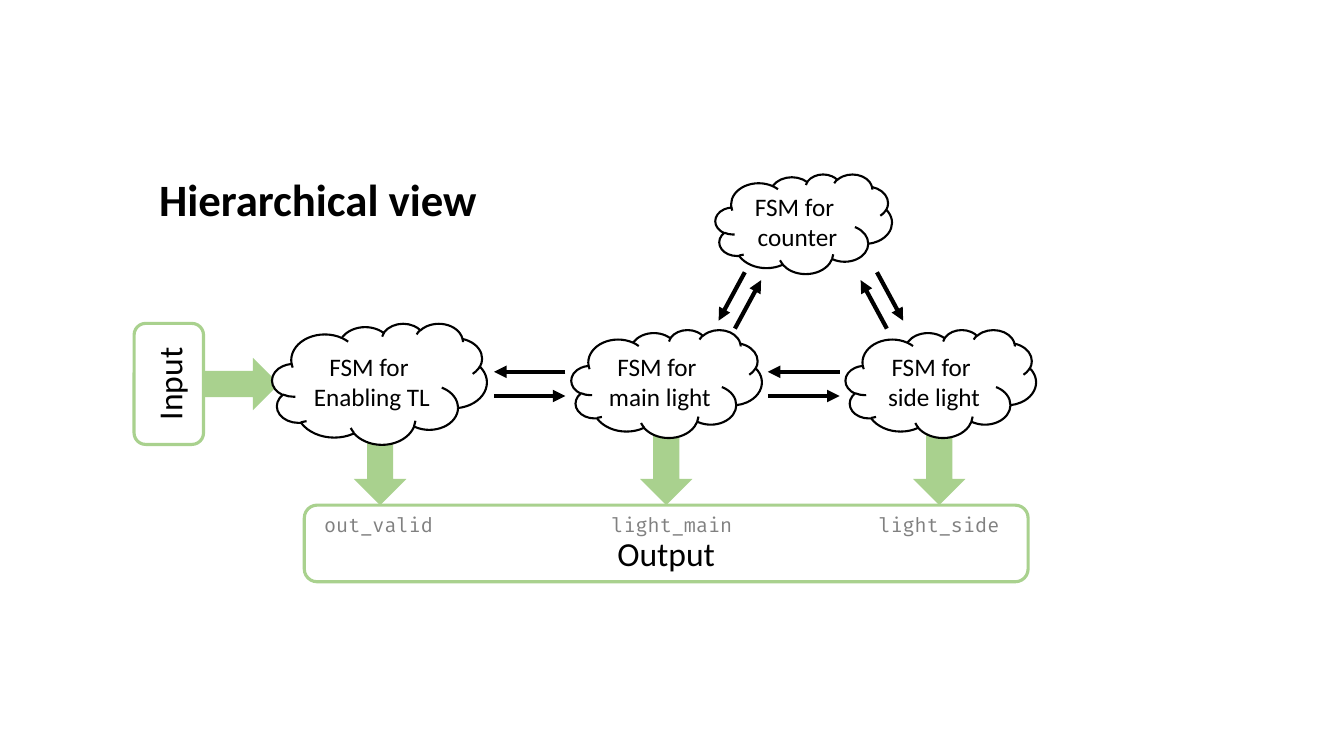
import pptx
import pptx.dml.color
import pptx.enum.shapes
import pptx.enum.text
import pptx.oxml.ns
import pptx.util
from lxml import etree

Cm = pptx.util.Cm
SHAPE = pptx.enum.shapes.MSO_SHAPE
ALIGN = pptx.enum.text.PP_ALIGN
ANCHOR = pptx.enum.text.MSO_ANCHOR

THEME = {
    "black": "000000", "white": "FFFFFF", "green": "A9D18E", "grey": "808080",
    "font": "Calibri", "code_font": "Fira Code",
    "title_size": 32, "box_size": 24, "state_size": 18, "signal_size": 14,
    "cloud_line": 1.5, "box_line": 2.25, "exchange_line": 3,
}

# All places are in centimetres: left, top, width, height.
SLIDE_SIZE = (33.87, 19.05)
TITLE = ("Hierarchical view", (3.76, 4.19, 9.04, 1.63))
STATE_MACHINES = [
    ("counter", (18.03, 4.39, 4.45, 2.51)),
    ("main light", (14.4, 8.31, 4.8, 2.72)),
    ("side light", (21.31, 8.31, 4.8, 2.72)),
    ("Enabling TL", (6.86, 8.15, 5.41, 3.05)),
]
INPUT_BOX = ("Input", (3.38, 8.15, 1.75, 3.05))
OUTPUT_BOX = ("Output", (7.67, 12.73, 18.24, 1.93))

FLOW_SIZE = (1.32, 1.93)
INPUT_FLOW = (5.41, 8.71)
OUTPUT_FLOW_TOP = 10.8
SIGNAL_TOP, SIGNAL_HEIGHT = 12.8, 0.86
# name, left of its flow arrow, left of its label, label width
SIGNALS = [
    ("out_valid", 8.92, 7.92, 3.28),
    ("light_main", 16.13, 15.16, 3.58),
    ("light_side", 23.01, 21.89, 3.58),
]
# start, end, and shift of the arrow that runs back
EXCHANGES = [
    ((14.25, 9.37), (12.45, 9.37), (0, 0.61)),
    ((21.16, 9.37), (19.35, 9.37), (0, 0.61)),
    ((18.77, 6.86), (18.11, 8.08), (0.41, 0.2)),
    ((22.1, 6.86), (22.76, 8.08), (-0.41, 0.2)),
]


def color(name):
    return pptx.dml.color.RGBColor.from_string(THEME[name])


def lengths(values):
    return [Cm(value) for value in values]


def write(frame, lines, size, align=ALIGN.LEFT, font="font", ink="black", bold=False):
    frame.text = "\n".join(lines)
    for para in frame.paragraphs:
        para.alignment = align
        para.font.name = THEME[font]
        para.font.size = pptx.util.Pt(THEME[size])
        para.font.bold = bold
        para.font.color.rgb = color(ink)


def add_filled(page, kind, place, fill, line=None, width=None):
    shape = page.shapes.add_shape(kind, *lengths(place))
    shape.shadow.inherit = False
    shape.fill.solid()
    shape.fill.fore_color.rgb = color(fill)
    if line:
        shape.line.color.rgb = color(line)
        shape.line.width = pptx.util.Pt(THEME[width])
    else:
        shape.line.fill.background()
    return shape


def add_state_machine(page, name, place):
    cloud = add_filled(page, SHAPE.CLOUD, place, "white", "black", "cloud_line")
    cloud.text_frame.vertical_anchor = ANCHOR.MIDDLE
    write(cloud.text_frame, ["FSM for ", name], "state_size", ALIGN.CENTER)


def add_port_box(page, name, place, anchor):
    box = add_filled(page, SHAPE.ROUNDED_RECTANGLE, place, "white", "green", "box_line")
    box.text_frame.vertical_anchor = anchor
    write(box.text_frame, [name], "box_size", ALIGN.CENTER)
    return box


def add_label(page, text, place, wrap, **style):
    box = page.shapes.add_textbox(*lengths(place))
    box.text_frame.word_wrap = wrap
    write(box.text_frame, [text], **style)


def add_arrow(page, start, end):
    arrow = page.shapes.add_connector(
        pptx.enum.shapes.MSO_CONNECTOR.STRAIGHT, *lengths(start + end))
    arrow.line.color.rgb = color("black")
    arrow.line.width = pptx.util.Pt(THEME["exchange_line"])
    qn = pptx.oxml.ns.qn
    etree.SubElement(arrow.line._get_or_add_ln(), qn("a:tailEnd"), type="triangle")
    etree.SubElement(arrow._element.spPr, qn("a:effectLst"))


def add_exchange(page, start, end, shift):
    """Draw one arrow and a shifted one that runs back."""
    def moved(point):
        return (point[0] + shift[0], point[1] + shift[1])
    add_arrow(page, start, end)
    add_arrow(page, moved(end), moved(start))


def main():
    deck = pptx.Presentation()
    deck.slide_width, deck.slide_height = lengths(SLIDE_SIZE)
    page = deck.slides.add_slide(deck.slide_layouts[6])

    input_flow = add_filled(page, SHAPE.DOWN_ARROW, INPUT_FLOW + FLOW_SIZE, "green")
    input_flow.rotation = 270
    for _, flow_left, _, _ in SIGNALS:
        add_filled(page, SHAPE.DOWN_ARROW,
                   (flow_left, OUTPUT_FLOW_TOP) + FLOW_SIZE, "green")

    for name, place in STATE_MACHINES:
        add_state_machine(page, name, place)
    for start, end, shift in EXCHANGES:
        add_exchange(page, start, end, shift)

    add_port_box(page, *OUTPUT_BOX, ANCHOR.BOTTOM)
    input_box = add_port_box(page, *INPUT_BOX, ANCHOR.MIDDLE)
    input_box.text_frame._txBody.bodyPr.set("vert", "vert270")

    for name, _, left, width in SIGNALS:
        add_label(page, name, (left, SIGNAL_TOP, width, SIGNAL_HEIGHT), False,
                  size="signal_size", font="code_font", ink="grey")
    add_label(page, *TITLE, True, size="title_size", bold=True)

    deck.save("out.pptx")


if __name__ == "__main__":
    main()
